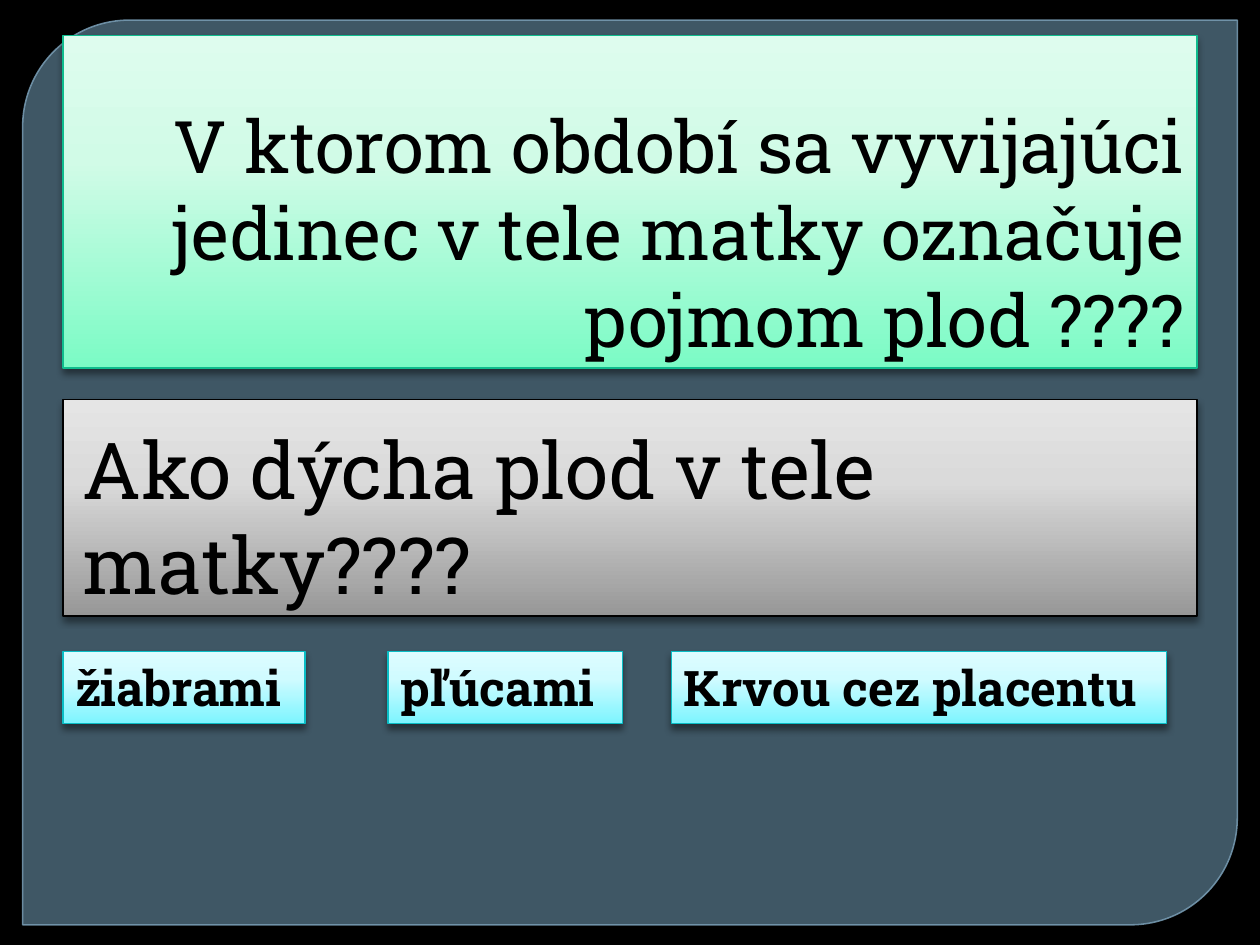
import dataclasses

import pptx
import pptx.dml.color
import pptx.enum.shapes
import pptx.enum.text
import pptx.oxml.ns
import pptx.util
from lxml import etree

Inches = pptx.util.Inches
Pt = pptx.util.Pt
qn = pptx.oxml.ns.qn
Align = pptx.enum.text.PP_ALIGN
AutoSize = pptx.enum.text.MSO_AUTO_SIZE


@dataclasses.dataclass(frozen=True)
class Theme:
    """Colours, type sizes and font of the slide."""
    font: str = "Roboto Slab"
    black: str = "000000"
    panel: str = "61869C"
    panel_edge: str = "779BB2"
    green: tuple = ("7BFBC5", "D1FBE7", "DEFCEE")
    green_edge: str = "0FBC8D"
    grey: tuple = ("979797", "DADADA", "E5E5E5")
    cyan: tuple = ("7DF5FF", "D0FBFF", "DEFCFF")
    cyan_edge: str = "0ABDC5"
    stops: tuple = (0, 62, 100)
    title_size: float = 41.4
    question_size: float = 44.9
    answer_size: float = 28


THEME = Theme()


def rgb(colour):
    """Turn a hex string into a colour."""
    return pptx.dml.color.RGBColor.from_string(colour)


def add_colour(parent, colour, alpha=100):
    """Append a colour element with an opacity in percent."""
    element = etree.SubElement(parent, qn("a:srgbClr"), val=colour)
    etree.SubElement(element, qn("a:alpha"), val=str(alpha * 1000))


def set_opacity(colour_format, fill_element, colour, alpha):
    """Set a solid colour and its opacity in percent."""
    colour_format.rgb = rgb(colour)
    solid = fill_element.find(qn("a:solidFill"))
    solid.remove(solid[0])
    add_colour(solid, colour, alpha)


def add_panel(slide):
    """Draw the translucent panel with two rounded corners."""
    panel = slide.shapes.add_shape(
        pptx.enum.shapes.MSO_SHAPE.ROUND_2_DIAG_RECTANGLE,
        Inches(0.18), Inches(0.16), Inches(9.64), Inches(7.18))
    panel.adjustments[0] = 0.118
    panel.adjustments[1] = 0
    panel.shadow.inherit = False
    panel.fill.solid()
    properties = panel._element.spPr
    set_opacity(panel.fill.fore_color, properties, THEME.panel, 65)
    panel.line.width = Pt(0.87)
    panel.line.fill.solid()
    set_opacity(panel.line.color, properties.find(qn("a:ln")), THEME.panel_edge, 88)


def style_card(card, gradient, edge):
    """Give a card its vertical gradient, thin edge and soft shadow."""
    card.fill.gradient()
    card.fill.gradient_angle = 90
    properties = card._element.spPr
    stop_list = properties.find(qn("a:gradFill")).find(qn("a:gsLst"))
    for stop in list(stop_list):
        stop_list.remove(stop)
    for position, colour in zip(THEME.stops, gradient):
        stop = etree.SubElement(stop_list, qn("a:gs"), pos=str(position * 1000))
        add_colour(stop, colour)
    card.line.color.rgb = rgb(edge)
    card.line.width = Pt(0.75)
    card.shadow.inherit = False
    shadow = etree.SubElement(
        properties.find(qn("a:effectLst")), qn("a:outerShdw"),
        blurRad=str(Pt(4)), dist=str(Pt(3)), dir="5400000", rotWithShape="0")
    add_colour(shadow, THEME.black, 43)


def write_text(card, text, size, align=Align.LEFT, bold=False, indent=0):
    """Fill a card with one formatted paragraph."""
    card.text_frame.text = text
    paragraph = card.text_frame.paragraphs[0]
    paragraph.alignment = align
    properties = paragraph._p.get_or_add_pPr()
    properties.set("marL", str(Inches(indent)))
    properties.set("indent", "0")
    font = paragraph.runs[0].font
    font.name = THEME.font
    font.size = Pt(size)
    font.bold = bold
    font.color.rgb = rgb(THEME.black)


def set_frame(card, wrap, auto_size):
    """Anchor a wrapped card at the bottom and set how it fits its text."""
    anchor = pptx.enum.text.MSO_ANCHOR
    card.text_frame.word_wrap = wrap
    card.text_frame.auto_size = auto_size
    card.text_frame.vertical_anchor = anchor.BOTTOM if wrap else anchor.TOP


def add_title(slide, text):
    """Place the title card in front of the panel."""
    title = slide.shapes.title
    slide.shapes._spTree.append(title._element)
    title.left, title.top = Inches(0.5), Inches(0.28)
    title.width, title.height = Inches(9), Inches(2.64)
    style_card(title, THEME.green, THEME.green_edge)
    set_frame(title, True, AutoSize.NONE)
    write_text(title, text, THEME.title_size, Align.RIGHT, indent=0.06)


def add_question(slide, text):
    """Add the grey question card."""
    question = slide.shapes.add_textbox(
        Inches(0.5), Inches(3.17), Inches(9), Inches(1.72))
    style_card(question, THEME.grey, THEME.black)
    set_frame(question, True, AutoSize.NONE)
    write_text(question, text, THEME.question_size, indent=0.06)


def add_answer(slide, text, left, width):
    """Add one answer card to the bottom row."""
    answer = slide.shapes.add_textbox(
        Inches(left), Inches(5.17), Inches(width), Inches(0.57))
    style_card(answer, THEME.cyan, THEME.cyan_edge)
    set_frame(answer, False, AutoSize.SHAPE_TO_FIT_TEXT)
    write_text(answer, text, THEME.answer_size, bold=True)


def main():
    """Build and save the quiz slide."""
    deck = pptx.Presentation()
    deck.slide_width, deck.slide_height = Inches(10), Inches(7.5)
    slide = deck.slides.add_slide(deck.slide_layouts.get_by_name("Title Only"))
    slide.background.fill.solid()
    slide.background.fill.fore_color.rgb = rgb(THEME.black)
    add_panel(slide)
    add_title(slide, "V ktorom období sa vyvijajúci jedinec v tele matky "
                     "označuje pojmom plod ????")
    add_question(slide, "Ako dýcha plod v tele matky????")
    answers = (("žiabrami", 0.5, 1.92),
               ("pľúcami", 3.08, 1.86),
               ("Krvou cez placentu", 5.33, 3.93))
    for text, left, width in answers:
        add_answer(slide, text, left, width)
    deck.save("out.pptx")


if __name__ == "__main__":
    main()
